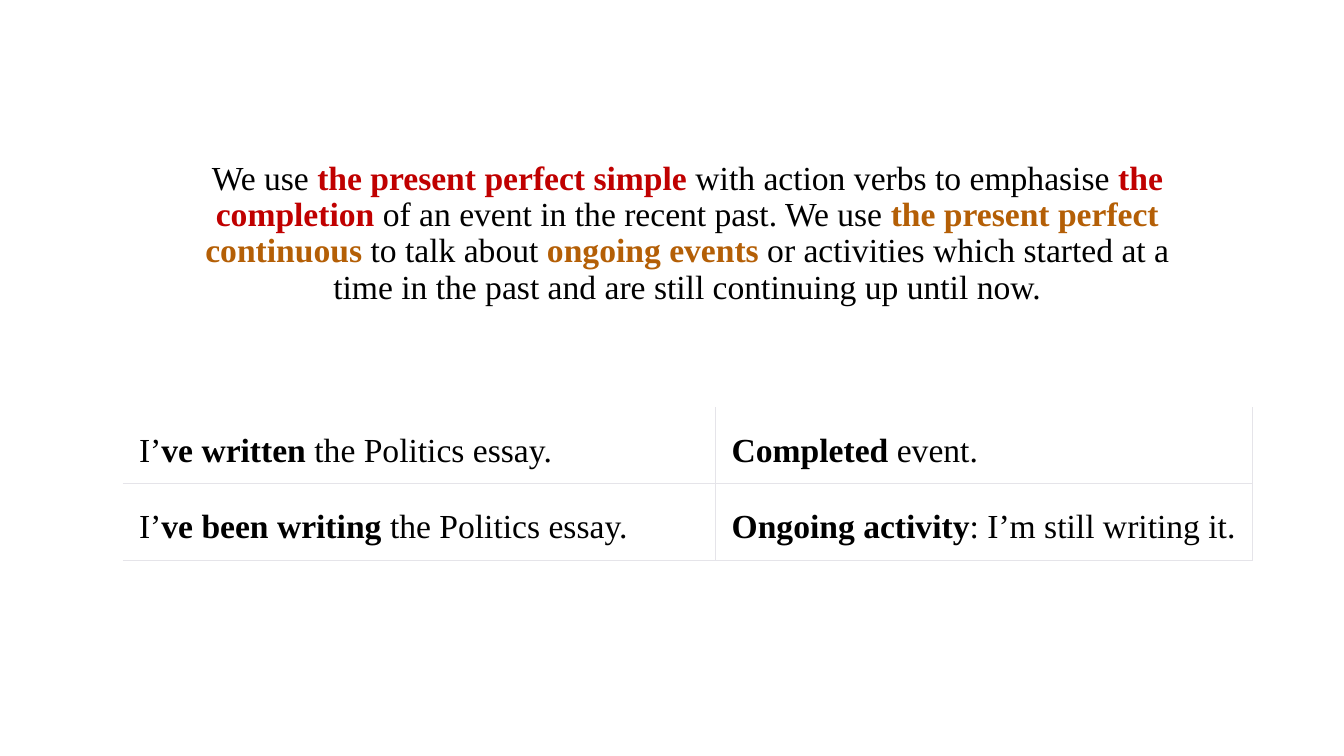
from lxml.etree import SubElement
from pptx import Presentation
from pptx.dml.color import RGBColor
from pptx.enum.text import MSO_ANCHOR, PP_ALIGN
from pptx.oxml.ns import qn
from pptx.util import Pt

BLACK = RGBColor(0x00, 0x00, 0x00)
RED = RGBColor(0xC0, 0x00, 0x00)
ORANGE = RGBColor(0xB4, 0x5F, 0x06)
BORDER = RGBColor(0xE5, 0xE4, 0xE9)
FONT = "Times New Roman"
NO_STYLE = "{2D5ABB26-0587-4C30-8999-92F81FD0307C}"

# Runs are (text, colour); in the table, (text, bold)
RULE = [
    ("We use ", BLACK),
    ("the present perfect simple ", RED),
    ("with action verbs to emphasise ", BLACK),
    ("the completion", RED),
    (" of an event in the recent past. We use ", BLACK),
    ("the present perfect continuous", ORANGE),
    (" to talk about ", BLACK),
    ("ongoing events", ORANGE),
    (" or activities which started at a time in the past and are still "
     "continuing up until now.", BLACK),
]
EXAMPLES = [
    [[("I’", False), ("ve written ", True), ("the Politics essay.", False)],
     [("Completed ", True), ("event.", False)]],
    [[("I’", False), ("ve been writing ", True), ("the Politics essay.", False)],
     [("Ongoing activity", True), (": I’m still writing it.", False)]],
]


def write_runs(p, runs, line_spacing):
    """Fill a paragraph with (text, colour, bold) runs."""
    p.line_spacing = line_spacing
    p.font.name, p.font.size = FONT, Pt(24)
    for text, color, bold in runs:
        r = p.add_run()
        r.text = text
        r.font.color.rgb = color
        r.font.bold = bold


def add_rule(slide, left, top, width, height):
    sp = slide.shapes.add_textbox(Pt(left), Pt(top), Pt(width), Pt(height))
    tf = sp.text_frame
    tf.word_wrap = True
    p = tf.paragraphs[0]
    p.alignment = PP_ALIGN.CENTER
    write_runs(p, [(text, color, color != BLACK) for text, color in RULE], 0.9)


def add_border(cell, side):
    ln = SubElement(cell._tc.get_or_add_tcPr(), qn(f"a:ln{side}"), w=str(Pt(0.75)))
    fill = SubElement(ln, qn("a:solidFill"))
    SubElement(fill, qn("a:srgbClr"), val=str(BORDER))


def add_examples(slide, left, top, col_widths, row_height):
    rows, cols = len(EXAMPLES), len(col_widths)
    frame = slide.shapes.add_table(rows, cols, Pt(left), Pt(top),
                                   Pt(sum(col_widths)), Pt(rows * row_height))
    table = frame.table
    table.first_row = table.horz_banding = False
    table._tbl.tblPr.find(qn("a:tableStyleId")).text = NO_STYLE
    for col, width in zip(table.columns, col_widths):
        col.width = Pt(width)
    for i, row in enumerate(EXAMPLES):
        for j, runs in enumerate(row):
            cell = table.cell(i, j)
            cell.margin_left, cell.margin_right = Pt(11.5), Pt(3.6)
            cell.margin_top = cell.margin_bottom = Pt(7.2)
            cell.vertical_anchor = MSO_ANCHOR.TOP
            # Inner lines, plus the right and bottom edges
            sides = ("L" if j else "") + "R" + ("T" if i else "") + "B"
            for side in sides:
                add_border(cell, side)
            cell.fill.background()
            write_runs(cell.text_frame.paragraphs[0],
                       [(text, BLACK, bold) for text, bold in runs], 1.4)


def main():
    prs = Presentation()
    prs.slide_width, prs.slide_height = Pt(960), Pt(540)
    slide = prs.slides.add_slide(prs.slide_layouts[6])
    # Grammar rule
    add_rule(slide, 131, 111.6, 720, 158.4)
    # Example sentences and their meaning
    add_examples(slide, 87.84, 290.9, (423.3, 383.2), 43.2)
    prs.save("out.pptx")


if __name__ == "__main__":
    main()
